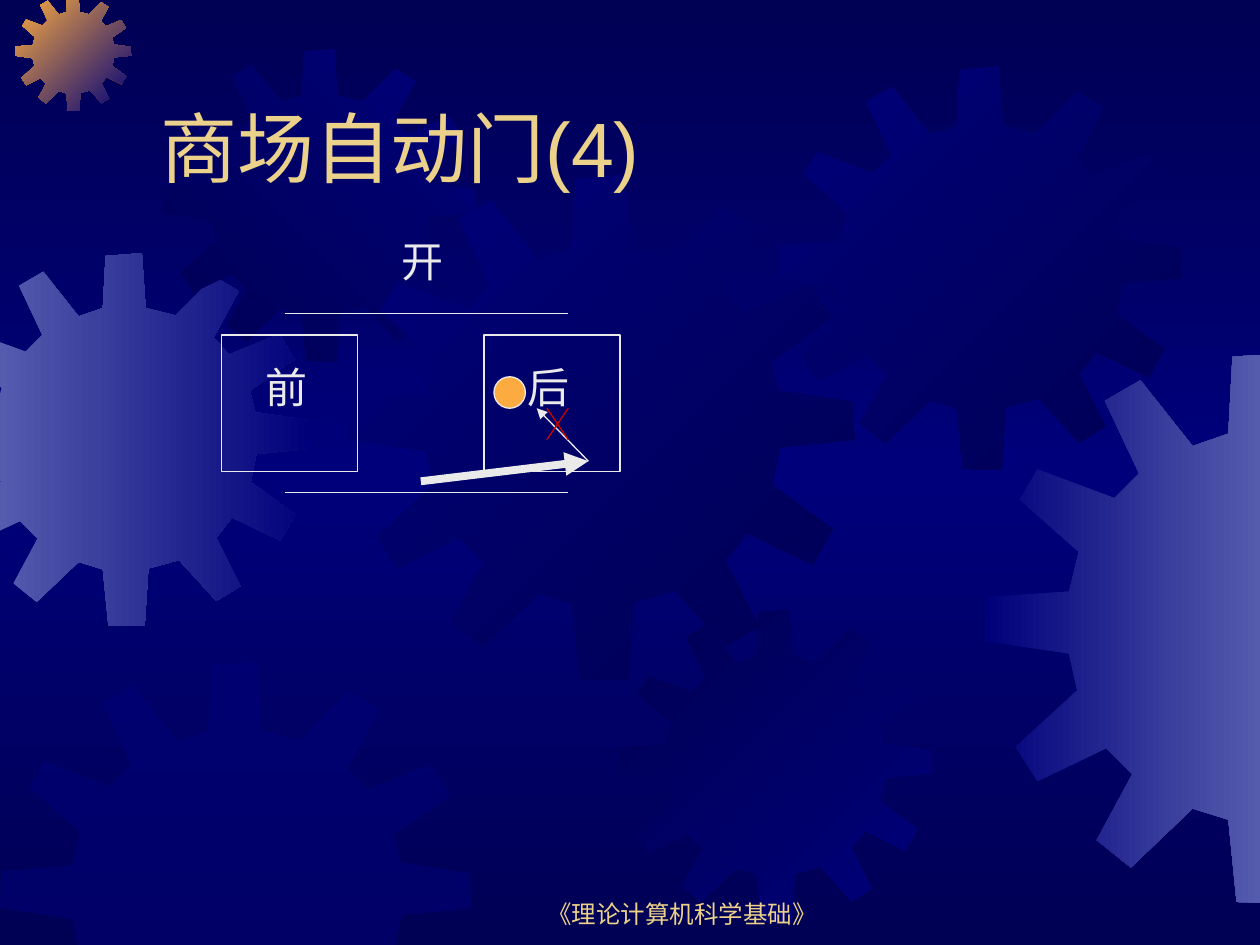
from copy import deepcopy
from dataclasses import dataclass
from typing import Optional

from lxml.etree import SubElement
from pptx import Presentation
from pptx.dml.color import RGBColor
from pptx.enum.shapes import MSO_CONNECTOR, MSO_SHAPE
from pptx.enum.text import MSO_ANCHOR, MSO_AUTO_SIZE, PP_ALIGN
from pptx.oxml.ns import qn
from pptx.util import Inches, Pt

NAVY = RGBColor(0x00, 0x00, 0x54)
BLUE = RGBColor(0x00, 0x00, 0x7A)
LAVENDER = RGBColor(0x55, 0x5B, 0xAD)
ORANGE = RGBColor(0xFC, 0xAB, 0x40)
GOLD = RGBColor(0xEB, 0xD1, 0x89)
WHITE = RGBColor(0xEA, 0xEA, 0xEA)
RED = RGBColor(0xCC, 0x00, 0x00)

WIDTH, HEIGHT = 10, 7.5
TITLE_ONLY = 5
THIN = 0.75
DOOR_SIZE = 1.08

# Outline of one twelve-toothed gear on a grid of GEAR_GRID units
GEAR_GRID = 401
GEAR_OUTLINE = [
    (255, 67), (223, 59), (219, 0), (180, 3), (177, 59), (151, 68),
    (113, 20), (87, 35), (112, 88), (94, 106), (38, 85), (25, 107),
    (68, 145), (61, 174), (1, 178), (0, 210), (61, 219), (67, 246),
    (22, 287), (38, 312), (88, 288), (107, 307), (81, 355), (106, 375),
    (151, 332), (177, 340), (183, 400), (222, 401), (226, 339), (259, 330),
    (299, 374), (325, 358), (299, 306), (316, 284), (368, 309), (384, 281),
    (336, 246), (342, 216), (401, 210), (400, 180), (341, 171), (335, 148),
    (383, 114), (367, 87), (313, 109), (296, 91), (323, 41), (297, 25),
]


@dataclass
class Gear:
    left: float
    top: float
    size: float
    start: RGBColor
    end: Optional[RGBColor] = None  # None means a half-transparent plain fill
    angle: int = 0  # clockwise


@dataclass
class Label:
    text: str
    left: float
    top: float
    width: float = 0.67
    size: int = 24
    font: str = "Arial Narrow"
    color: RGBColor = WHITE


@dataclass
class Line:
    start: tuple
    end: tuple
    color: RGBColor = WHITE
    width: float = THIN
    arrow: Optional[str] = None  # "headEnd" is at start, "tailEnd" at end


GEARS = [
    Gear(-0.49, 2.01, 2.96, LAVENDER, BLUE),
    Gear(0.12, -0.04, 0.92, ORANGE, BLUE, 45),
    Gear(1.3, 0.39, 2.48, NAVY, BLUE, 315),
    Gear(2.77, 1.39, 4.01, BLUE, NAVY, 45),
    Gear(0, 5.25, 3.74, BLUE),
    Gear(4.91, 4.84, 2.48, NAVY, BLUE, 45),
    Gear(6.18, 0.53, 3.2, BLUE, NAVY, 45),
    Gear(7.82, 2.8, 4.37, BLUE, LAVENDER),
]
LABELS = [Label("前", 2.01, 2.82), Label("后", 4.09, 2.82), Label("开", 3.09, 1.82)]
FOOTER = Label("《理论计算机科学基础》", 3.83, 6.92, 3.17, 14, "Arial", GOLD)
DOOR_LEFTS = [1.76, 3.84]
LINES = [
    Line((2.26, 2.49), (4.51, 2.49)),
    Line((2.26, 3.91), (4.51, 3.91)),
    Line((3.34, 3.82), (4.67, 3.66), width=4.5, arrow="tailEnd"),
    Line((4.26, 3.24), (4.67, 3.66), arrow="headEnd"),
    Line((4.34, 3.49), (4.51, 3.24), RED),
    Line((4.34, 3.24), (4.51, 3.49), RED),
]


def clip(points: list, axis: int, limit: float, sign: int) -> list:
    """Cut a polygon at a slide edge; sign is 1 to keep what lies above limit."""
    kept = []
    for before, point in zip(points[-1:] + points[:-1], points):
        was_inside = sign * (before[axis] - limit) >= 0
        inside = sign * (point[axis] - limit) >= 0
        if was_inside != inside:
            share = (limit - before[axis]) / (point[axis] - before[axis])
            kept.append(tuple(a + share * (b - a) for a, b in zip(before, point)))
        if inside:
            kept.append(point)
    return kept


def add_gear(page, gear: Gear) -> None:
    scale = gear.size / GEAR_GRID
    points = [(gear.left + x * scale, gear.top + y * scale) for x, y in GEAR_OUTLINE]
    for axis, limit in enumerate((WIDTH, HEIGHT)):
        points = clip(clip(points, axis, 0, 1), axis, limit, -1)
    corners = [(Inches(x), Inches(y)) for x, y in points]
    builder = page.shapes.build_freeform(*corners[0])
    builder.add_line_segments(corners[1:], close=True)
    shape = builder.convert_to_shape()
    shape.shadow.inherit = False
    shape.line.fill.background()
    if gear.end is None:
        shape.fill.solid()
        shape.fill.fore_color.rgb = gear.start
        color = shape.fill._xPr.find(".//" + qn("a:srgbClr"))
        SubElement(color, qn("a:alpha"), val="50000")
    else:
        shape.fill.gradient()
        shape.fill.gradient_angle = (360 - gear.angle) % 360
        for stop, color, position in zip(
            shape.fill.gradient_stops, (gear.start, gear.end), (0, 1)
        ):
            stop.color.rgb = color
            stop.position = position


def paint_background(page) -> None:
    fill = page.background.fill
    fill.gradient()
    fill.gradient_angle = 270
    stop_list = page.background._cSld.find(".//" + qn("a:gsLst"))
    stop_list.append(deepcopy(stop_list[0]))
    for stop, color, position in zip(
        fill.gradient_stops, (NAVY, BLUE, NAVY), (0, 0.5, 1)
    ):
        stop.color.rgb = color
        stop.position = position


def write(para, text: str, font: str, size: int, color: RGBColor) -> None:
    span = para.add_run()
    span.text = text
    span.font.name = font
    span.font.size = Pt(size)
    span.font.color.rgb = color


def add_label(page, label: Label):
    box = page.shapes.add_textbox(
        Inches(label.left), Inches(label.top), Inches(label.width), Inches(0.5)
    )
    box.text_frame.word_wrap = True
    write(box.text_frame.paragraphs[0], label.text, label.font, label.size, label.color)
    return box


def add_outlined(page, kind, left: float, top: float, size: float):
    shape = page.shapes.add_shape(
        kind, Inches(left), Inches(top), Inches(size), Inches(size)
    )
    shape.shadow.inherit = False
    shape.fill.background()
    shape.line.color.rgb = WHITE
    shape.line.width = Pt(THIN)
    return shape


def add_line(page, line: Line) -> None:
    ends = [Inches(value) for value in line.start + line.end]
    connector = page.shapes.add_connector(MSO_CONNECTOR.STRAIGHT, *ends)
    connector.line.color.rgb = line.color
    connector.line.width = Pt(line.width)
    if line.arrow:
        SubElement(connector.line._get_or_add_ln(), qn("a:" + line.arrow), type="triangle")
    SubElement(connector._element.spPr, qn("a:effectLst"))


def main() -> None:
    deck = Presentation()
    deck.slide_width, deck.slide_height = Inches(WIDTH), Inches(HEIGHT)
    page = deck.slides.add_slide(deck.slide_layouts[TITLE_ONLY])
    paint_background(page)
    for gear in GEARS:
        add_gear(page, gear)

    title = page.shapes.title
    page.shapes._spTree.append(title._element)  # in front of the gears
    title.left, title.top = Inches(1.17), Inches(0.33)
    title.width, title.height = Inches(8.5), Inches(1.25)
    title.text_frame.auto_size = MSO_AUTO_SIZE.NONE
    title.text_frame.vertical_anchor = MSO_ANCHOR.BOTTOM
    heading = title.text_frame.paragraphs[0]
    heading.alignment = PP_ALIGN.LEFT
    write(heading, "商场自动门(4)", "Arial", 44, GOLD)

    footer = add_label(page, FOOTER)
    footer.text_frame.vertical_anchor = MSO_ANCHOR.BOTTOM
    footer.text_frame.paragraphs[0].alignment = PP_ALIGN.CENTER

    for left in DOOR_LEFTS:
        add_outlined(page, MSO_SHAPE.RECTANGLE, left, 2.66, DOOR_SIZE)
    for label in LABELS:
        add_label(page, label).text_frame.auto_size = MSO_AUTO_SIZE.SHAPE_TO_FIT_TEXT
    person = add_outlined(page, MSO_SHAPE.OVAL, 3.92, 2.99, 0.25)
    person.fill.solid()
    person.fill.fore_color.rgb = ORANGE
    for line in LINES:
        add_line(page, line)
    deck.save("out.pptx")


if __name__ == "__main__":
    main()
